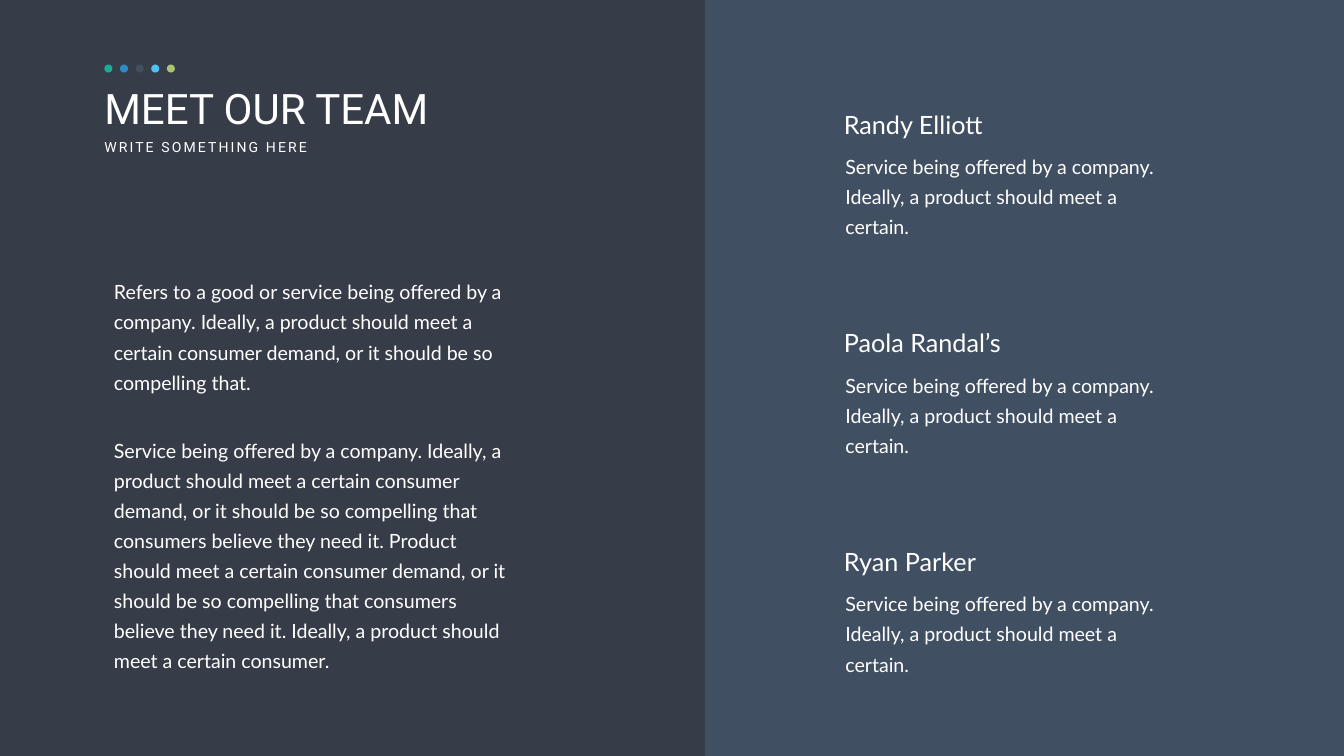
from dataclasses import dataclass

from lxml.etree import SubElement
from pptx import Presentation
from pptx.dml.color import RGBColor
from pptx.enum.shapes import MSO_SHAPE
from pptx.enum.text import MSO_AUTO_SIZE
from pptx.oxml.ns import qn
from pptx.util import Inches, Pt


@dataclass(frozen=True)
class Theme:
    background: str = "363D48"
    panel: str = "445469"
    text: str = "FFFFFF"
    dots: tuple[str, ...] = ("1CAD97", "2B8BC7", "425060", "4EC2F4", "AAC46F")
    heading_font: str = "Roboto"
    body_font: str = "Lato"
    title: int = 60
    subtitle: int = 20
    name: int = 36
    body: int = 28
    line: int = 43
    paragraph_gap: int = 54


@dataclass(frozen=True)
class Member:
    name: str
    bio: str


THEME = Theme()
BODY_INSETS = (0.24, 0.12)
BIO = "Service being offered by a company. Ideally, a product should meet a certain."
MEMBERS = [Member(name, BIO) for name in ("Randy Elliott", "Paola Randal’s", "Ryan Parker")]
INTRO = [
    "Refers to a good or service being offered by a company. Ideally, a product should "
    "meet a certain consumer demand, or it should be so compelling that.",
    "Service being offered by a company. Ideally, a product should meet a certain consumer "
    "demand, or it should be so compelling that consumers believe they need it. Product "
    "should meet a certain consumer demand, or it should be so compelling that consumers "
    "believe they need it. Ideally, a product should meet a certain consumer.",
]


def add_text(s, paragraphs: list[str], x: float, y: float, w: float, h: float, *,
             size: int, font: str = THEME.body_font, insets: tuple[float, float] = (0.1, 0.05),
             line: int | None = None, gap: int = 0, tracking: int = 0, wrap: bool = True) -> None:
    tf = s.shapes.add_textbox(Inches(x), Inches(y), Inches(w), Inches(h)).text_frame
    tf.word_wrap = wrap
    tf.auto_size = MSO_AUTO_SIZE.SHAPE_TO_FIT_TEXT
    tf.margin_left = tf.margin_right = Inches(insets[0])
    tf.margin_top = tf.margin_bottom = Inches(insets[1])
    for i, text in enumerate(paragraphs):
        p = tf.add_paragraph() if i else tf.paragraphs[0]
        if line:
            p.line_spacing = Pt(line)
        if i:
            p.space_before = Pt(gap)
        r = p.add_run()
        r.text = text
        r.font.size = Pt(size)
        r.font.name = font
        r.font.color.rgb = RGBColor.from_string(THEME.text)
        if tracking:
            r.font._element.set("spc", str(tracking * 100))


def add_filled(s, kind: MSO_SHAPE, x: float, y: float, w: float, h: float,
               color: str, opacity: int = 100) -> None:
    sp = s.shapes.add_shape(kind, Inches(x), Inches(y), Inches(w), Inches(h))
    sp.shadow.inherit = False
    sp.fill.solid()
    sp.fill.fore_color.rgb = RGBColor.from_string(color)
    sp.line.fill.background()
    if opacity < 100:
        clr = sp._element.spPr.find(qn("a:solidFill")).find(qn("a:srgbClr"))
        SubElement(clr, qn("a:alpha")).set("val", str(opacity * 1000))


def add_member(s, member: Member, y: float) -> None:
    add_text(s, [member.bio], 16.53, y + 0.71, 7.17, 1.38, size=THEME.body,
             insets=BODY_INSETS, line=THEME.line)
    add_text(s, [member.name], 16.64, y, 3.97, 0.71, size=THEME.name)


def main() -> None:
    prs = Presentation()
    prs.slide_width, prs.slide_height = Inches(26.66), Inches(15)
    s = prs.slides.add_slide(prs.slide_layouts[6])
    s.background.fill.solid()
    s.background.fill.fore_color.rgb = RGBColor.from_string(THEME.background)

    # Right panel
    add_filled(s, MSO_SHAPE.RECTANGLE, 13.98, 0, 12.68, 15, THEME.panel, opacity=80)

    # Introduction
    add_text(s, INTRO, 2.02, 5.31, 8.4, 8.3, size=THEME.body, insets=BODY_INSETS,
             line=THEME.line, gap=THEME.paragraph_gap)

    # Team members
    for i, member in enumerate(MEMBERS):
        add_member(s, member, 2.11 + 4.34 * i)

    # Heading with its row of dots
    add_text(s, ["MEET OUR TEAM"], 1.97, 1.59, 8.34, 1.11,
             size=THEME.title, font=THEME.heading_font)
    add_text(s, ["WRITE SOMETHING HERE"], 1.97, 2.7, 4.35, 0.44, size=THEME.subtitle,
             font=THEME.heading_font, tracking=3, wrap=False)
    for i, color in enumerate(THEME.dots):
        add_filled(s, MSO_SHAPE.OVAL, 2.07 + 0.31 * i, 1.28, 0.16, 0.16, color)

    prs.save("out.pptx")


if __name__ == "__main__":
    main()
